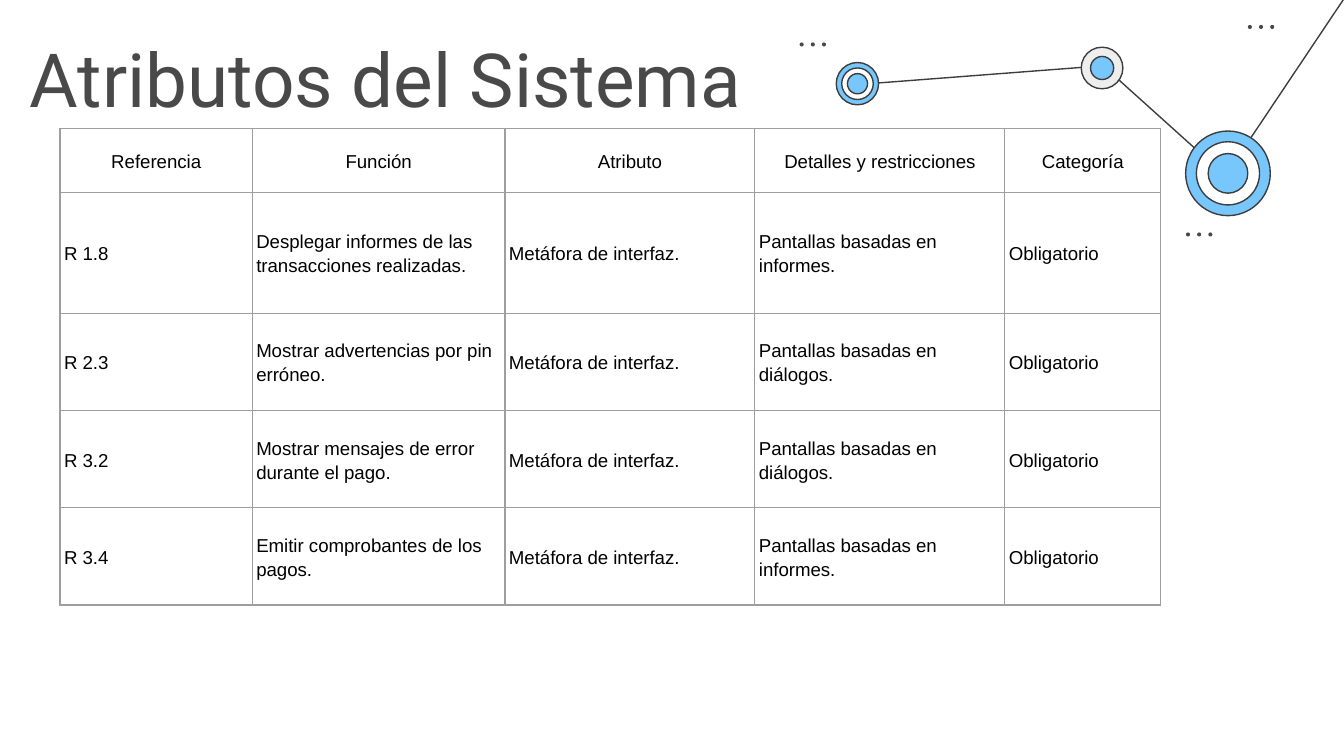
from dataclasses import dataclass

from lxml.etree import SubElement
from pptx import Presentation
from pptx.dml.color import RGBColor
from pptx.enum.shapes import MSO_CONNECTOR, MSO_SHAPE
from pptx.enum.text import MSO_ANCHOR, MSO_AUTO_SIZE, PP_ALIGN
from pptx.oxml.ns import qn
from pptx.slide import Slide
from pptx.util import Inches, Pt

# The 16:9 slide is a grid of 1000 columns by 562.5 rows, each a hundredth of an inch.
GRID_COLUMNS, GRID_ROWS = 1000, 562.5
COLORS = {
    "blue": "77C6FC",
    "white": "FFFFFF",
    "pale": "EEEEEE",
    "outline": "3D3D3D",
    "title": "494949",
    "text": "000000",
    "border": "9E9E9E",
}
LINE_WIDTH = Pt(0.75)
DOT_SIZE, DOT_STEP, DOT_COUNT = 3, 8.3, 3


@dataclass(frozen=True)
class Point:
    column: float
    row: float


@dataclass(frozen=True)
class Ring:
    diameter: float
    color: str


@dataclass(frozen=True)
class Node:
    center: Point
    rings: tuple[Ring, ...]


@dataclass(frozen=True)
class Link:
    start: Point
    end: Point


LINKS = (
    Link(Point(820, 49), Point(637, 63)),
    Link(Point(912, 131), Point(822, 50)),
    Link(Point(1000, -1), Point(913, 129)),
)
NODES = (
    Node(Point(913.7, 129), (Ring(63, "blue"), Ring(47, "white"), Ring(29.5, "blue"))),
    Node(Point(820, 50.6), (Ring(31, "pale"), Ring(17.2, "blue"))),
    Node(Point(638, 62.3), (Ring(31.5, "blue"), Ring(23.5, "white"), Ring(15, "blue"))),
)
DOT_TRIOS = (Point(595, 31.6), Point(928.5, 18.6), Point(882.5, 173))

TABLE_ORIGIN = Point(44.7, 95.4)
COLUMN_WIDTHS = (143, 188, 186, 186, 116)
ROW_HEIGHTS = (47.7, 90, 72.4, 72.4, 72.4)
HEADER = ("Referencia", "Función", "Atributo", "Detalles y restricciones", "Categoría")
REQUIREMENTS = (
    ("R 1.8", "Desplegar informes de las transacciones realizadas.", "informes"),
    ("R 2.3", "Mostrar advertencias por pin erróneo.", "diálogos"),
    ("R 3.2", "Mostrar mensajes de error durante el pago.", "diálogos"),
    ("R 3.4", "Emitir comprobantes de los pagos.", "informes"),
)


def grid(units: float) -> int:
    """Turn grid units into a length."""
    return Inches(units / 100)


def rgb(name: str) -> RGBColor:
    return RGBColor.from_string(COLORS[name])


def add_title(slide: Slide, text: str) -> None:
    title = slide.shapes.title
    title.left, title.top = grid(-77.3), grid(14.6)
    title.width, title.height = grid(728), grid(65)
    frame = title.text_frame
    frame.text = text
    frame.word_wrap = True
    frame.auto_size = MSO_AUTO_SIZE.NONE
    frame.vertical_anchor = MSO_ANCHOR.TOP
    frame.margin_left = frame.margin_right = grid(10)
    frame.margin_top = frame.margin_bottom = grid(10)
    paragraph = frame.paragraphs[0]
    paragraph.alignment = PP_ALIGN.CENTER
    paragraph.font.name = "Roboto"
    paragraph.font.size = Pt(40)
    paragraph.font.color.rgb = rgb("title")


def add_link(slide: Slide, link: Link) -> None:
    connector = slide.shapes.add_connector(
        MSO_CONNECTOR.STRAIGHT,
        grid(link.start.column), grid(link.start.row),
        grid(link.end.column), grid(link.end.row),
    )
    connector.line.color.rgb = rgb("outline")
    connector.line.width = LINE_WIDTH
    SubElement(connector.element.spPr, qn("a:effectLst"))


def add_circle(slide: Slide, corner: Point, diameter: float, color: str, outlined: bool) -> None:
    circle = slide.shapes.add_shape(
        MSO_SHAPE.OVAL, grid(corner.column), grid(corner.row), grid(diameter), grid(diameter)
    )
    circle.shadow.inherit = False
    circle.fill.solid()
    circle.fill.fore_color.rgb = rgb(color)
    if outlined:
        circle.line.color.rgb = rgb("outline")
        circle.line.width = LINE_WIDTH
    else:
        circle.line.fill.background()


def add_node(slide: Slide, node: Node) -> None:
    for ring in node.rings:
        radius = ring.diameter / 2
        corner = Point(node.center.column - radius, node.center.row - radius)
        add_circle(slide, corner, ring.diameter, ring.color, outlined=True)


def add_dots(slide: Slide, start: Point) -> None:
    for index in range(DOT_COUNT):
        corner = Point(start.column + index * DOT_STEP, start.row)
        add_circle(slide, corner, DOT_SIZE, "title", outlined=False)


def format_cell(cell, text: str, alignment: PP_ALIGN) -> None:
    cell.text = text
    cell.vertical_anchor = MSO_ANCHOR.MIDDLE
    cell.margin_left = cell.margin_right = grid(3)
    cell.margin_top = cell.margin_bottom = 0
    paragraph = cell.text_frame.paragraphs[0]
    paragraph.alignment = alignment
    paragraph.line_spacing = 1.15
    paragraph.font.name = "Arial"
    paragraph.font.size = Pt(10)
    paragraph.font.color.rgb = rgb("text")
    properties = cell._tc.get_or_add_tcPr()
    for side in ("a:lnL", "a:lnR", "a:lnT", "a:lnB"):
        border = SubElement(properties, qn(side), w=str(int(LINE_WIDTH)))
        fill = SubElement(border, qn("a:solidFill"))
        SubElement(fill, qn("a:srgbClr"), val=COLORS["border"])
    cell.fill.background()


def add_requirements_table(slide: Slide) -> None:
    rows = [HEADER] + [
        (reference, function, "Metáfora de interfaz.", f"Pantallas basadas en {basis}.", "Obligatorio")
        for reference, function, basis in REQUIREMENTS
    ]
    table = slide.shapes.add_table(
        len(rows), len(HEADER),
        grid(TABLE_ORIGIN.column), grid(TABLE_ORIGIN.row),
        grid(sum(COLUMN_WIDTHS)), grid(sum(ROW_HEIGHTS)),
    ).table
    table.first_row = table.horz_banding = False
    for column, width in zip(table.columns, COLUMN_WIDTHS):
        column.width = grid(width)
    for row, height in zip(table.rows, ROW_HEIGHTS):
        row.height = grid(height)
    for row_index, texts in enumerate(rows):
        alignment = PP_ALIGN.LEFT if row_index else PP_ALIGN.CENTER
        for column_index, text in enumerate(texts):
            format_cell(table.cell(row_index, column_index), text, alignment)


def main() -> None:
    presentation = Presentation()
    presentation.slide_width, presentation.slide_height = grid(GRID_COLUMNS), grid(GRID_ROWS)
    title_only = presentation.slide_layouts.get_by_name("Title Only")
    slide = presentation.slides.add_slide(title_only)
    for link in LINKS:
        add_link(slide, link)
    for node in NODES:
        add_node(slide, node)
    for start in DOT_TRIOS:
        add_dots(slide, start)
    add_title(slide, "Atributos del Sistema")
    add_requirements_table(slide)
    presentation.save("out.pptx")


if __name__ == "__main__":
    main()
